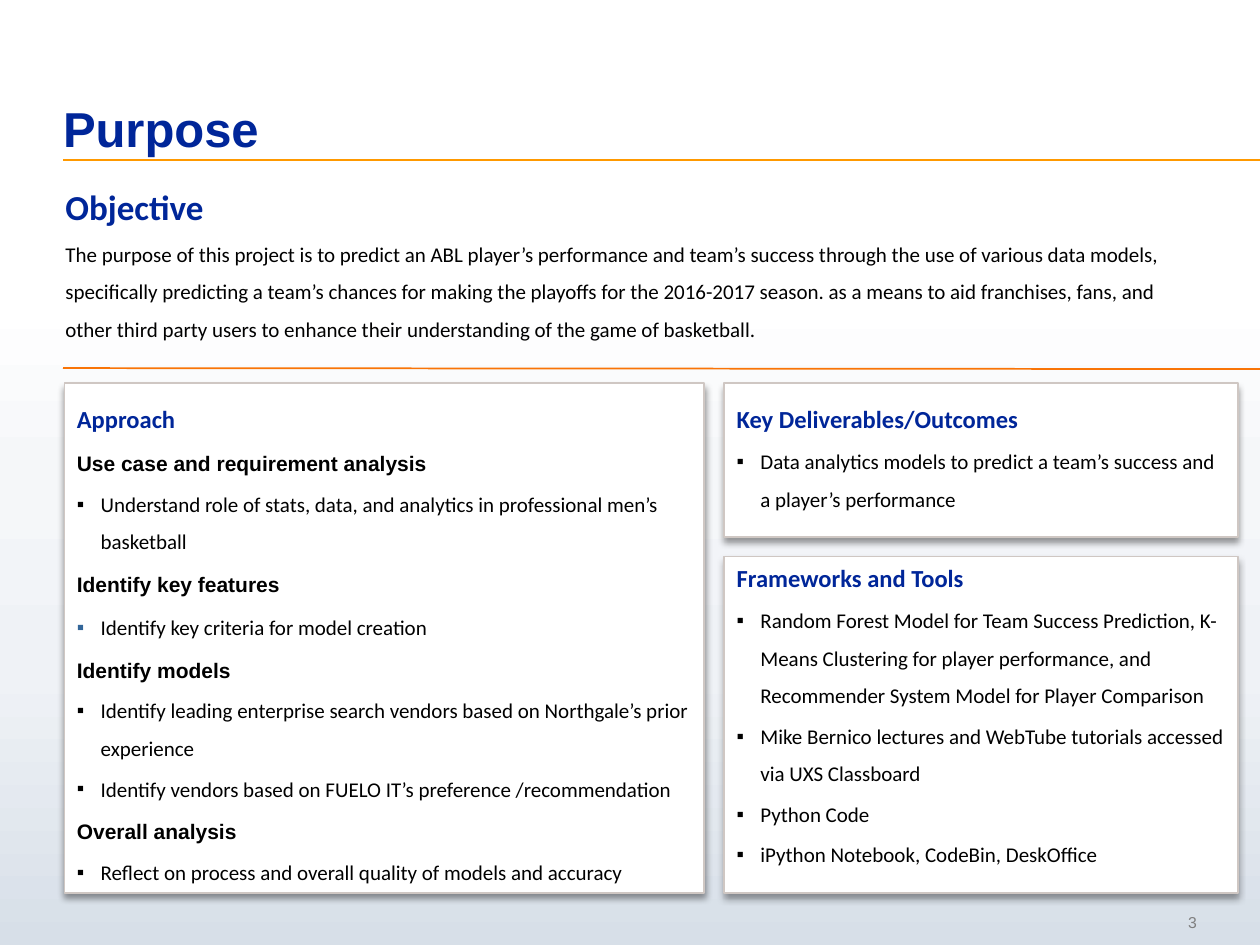
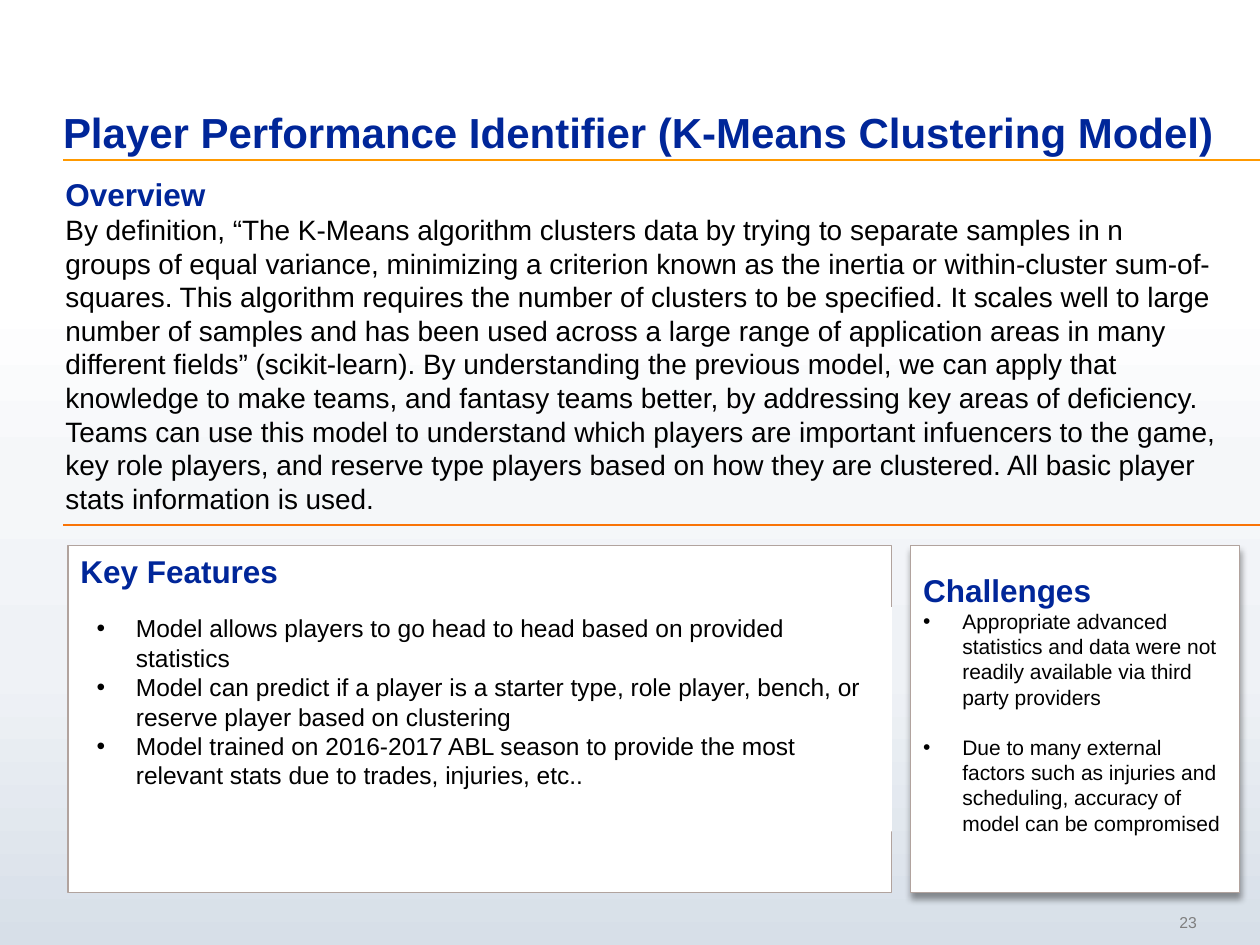
"""Build the two project slides."""

from dataclasses import dataclass, replace
from typing import NamedTuple

from lxml.etree import SubElement as add_node
from pptx import Presentation
from pptx.dml.color import RGBColor
from pptx.enum.shapes import MSO_CONNECTOR as Link, MSO_SHAPE as Shape
from pptx.enum.text import MSO_ANCHOR as Anchor, PP_ALIGN as Align
from pptx.oxml.ns import qn
from pptx.util import Cm, Pt

NAVY, BLACK, GREY, WHITE = "002699", "000000", "7F7F7F", "FFFFFF"
GOLD, ORANGE, STEEL = "FF9900", "F97407", "336699"
PALE, TAUPE = "CFC7C3", "B1A39E"
BACK = [(31, WHITE), (50, "F5F7F9"), (71, "EFF2F6"), (100, "D7DFE8")]
EDGE, RIGHT = 1.27, 25.4


@dataclass(frozen=True)
class Look:
    font: str
    size: float
    hue: str = BLACK
    bold: bool = False
    lines: float | None = None
    fixed: bool = False
    above: float = 0
    mark: str = ""
    tint: str = BLACK
    hang: float = 0


class Para(NamedTuple):
    text: str
    look: Look


class Area(NamedTuple):
    left: float
    top: float
    width: float
    height: float


@dataclass(frozen=True)
class Card:
    area: Area
    paras: list[Para]
    line: str = ""
    weight: float = 1
    shade: bool = True


TITLE = Look("Arial", 28, NAVY, True, 26, True)
NUMBER = Look("Arial", 9, GREY)

HEAD = Look("Calibri", 14, NAVY, True, 1.5, above=0.1)
STEP = Look("Arial", 12, BLACK, True, 1.5, above=0.2)
ITEM = Look("Calibri", 12, lines=1.5, above=0.1, mark="▪", hang=0.48)
GOAL = Look("Calibri", 20, NAVY, True, above=0.05)
BODY = Look("Calibri", 12, lines=1.5, above=0.05)

TOPIC = Look("Arial", 18, NAVY, True, 21.6, True)
PROSE = Look("Arial", 16, lines=19.2, fixed=True)
POINT = Look("Arial", 14, lines=16.8, fixed=True, mark="•", hang=0.79)
ISSUE = replace(POINT, size=12, lines=14.4)

GOALS = [
    Para("Objective", GOAL),
    Para("The purpose of this project is to predict an ABL player’s performance and "
         "team’s success through the use of various data models, specifically "
         "predicting a team’s chances for making the playoffs for the 2016-2017 "
         "season. as a means to aid franchises, fans, and other third party users to "
         "enhance their understanding of the game of basketball.", BODY),
]

PLANS = [
    Card(Area(1.3, 7.72, 12.9, 10.28), [
        Para("Approach", HEAD),
        Para("Use case and requirement analysis", STEP),
        Para("Understand role of stats, data, and analytics in professional men’s "
             "basketball", ITEM),
        Para("Identify key features", STEP),
        Para("Identify key criteria for model creation",
             replace(ITEM, above=0.2, tint=STEEL)),
        Para("Identify models", STEP),
        Para("Identify leading enterprise search vendors based on Northgale’s prior "
             "experience", ITEM),
        Para("Identify vendors based on FUELO IT’s preference /recommendation", ITEM),
        Para("Overall analysis", STEP),
        Para("Reflect on process and overall quality of models and accuracy", ITEM),
    ], PALE),
    Card(Area(14.6, 11.22, 10.36, 6.78), [
        Para("Frameworks and Tools", replace(HEAD, lines=None)),
        Para("Random Forest Model for Team Success Prediction, K-Means Clustering for "
             "player performance, and Recommender System Model for Player Comparison",
             ITEM),
        Para("Mike Bernico lectures and WebTube tutorials accessed via UXS Classboard",
             ITEM),
        Para("Python Code", ITEM),
        Para("iPython Notebook, CodeBin, DeskOffice", ITEM),
    ], PALE),
    Card(Area(14.6, 7.72, 10.36, 3.1), [
        Para("Key Deliverables/Outcomes", HEAD),
        Para("Data analytics models to predict a team’s success and a player’s "
             "performance", ITEM),
    ], PALE),
]

VIEWS = [
    Para("Overview", TOPIC),
    Para("By definition, “The K-Means algorithm clusters data by trying to separate "
         "samples in n groups of equal variance, minimizing a criterion known as the "
         "inertia or within-cluster sum-of-squares. This algorithm requires the number "
         "of clusters to be specified. It scales well to large number of samples and "
         "has been used across a large range of application areas in many different "
         "fields” (scikit-learn). By understanding the previous model, we can apply "
         "that knowledge to make teams, and fantasy teams better, by addressing key "
         "areas of deficiency. Teams can use this model to understand which players "
         "are important infuencers to the game, key role players, and reserve type "
         "players based on how they are clustered. All basic player stats information "
         "is used.", PROSE),
]

TRAITS = [
    Card(Area(1.37, 11, 16.61, 7), [Para("Key Features", TOPIC)], TAUPE, 0.75, False),
    Card(Area(18.36, 11, 6.63, 7), [
        Para("Challenges", replace(TOPIC, lines=1.5, fixed=False)),
        Para("Appropriate advanced statistics and data were not readily available via "
             "third party providers", ISSUE),
        Para("Due to many external factors such as injuries and scheduling, accuracy "
             "of model can be compromised", replace(ISSUE, above=1)),
    ], TAUPE, 0.75),
    Card(Area(1.7, 12.24, 16.28, 4.52), [
        Para("Model allows players to go head to head based on provided statistics",
             POINT),
        Para("Model can predict if a player is a starter type, role player, bench, or "
             "reserve player based on clustering", POINT),
        Para("Model trained on 2016-2017 ABL season to provide the most relevant stats "
             "due to trades, injuries, etc..", POINT),
    ], shade=False),
]


def rgb(hue: str) -> RGBColor:
    return RGBColor.from_string(hue)


def span(area: Area) -> list[Cm]:
    return [Cm(part) for part in area]


def add_hue(node, hue: str):
    return add_node(node, qn("a:srgbClr"), val=hue)


def add_mark(para, look: Look) -> None:
    props = para._p.get_or_add_pPr()
    props.set("marL", str(Cm(look.hang)))
    props.set("indent", str(-Cm(look.hang)))
    add_hue(add_node(props, qn("a:buClr")), look.tint)
    add_node(props, qn("a:buFont"), typeface="Arial")
    add_node(props, qn("a:buChar"), char=look.mark)


def write(frame, paras: list[Para], align=Align.LEFT) -> None:
    frame.word_wrap = True
    frame.text = "\n".join(item.text for item in paras)
    for para, (_, look) in zip(frame.paragraphs, paras):
        para.alignment = align
        if look.lines:
            para.line_spacing = Pt(look.lines) if look.fixed else look.lines
        para.space_before = Pt(look.above * look.size * 1.2)
        if look.mark:
            add_mark(para, look)
        for run in para.runs:
            font = run.font
            font.name, font.size, font.bold = look.font, Pt(look.size), look.bold
            font.color.rgb = rgb(look.hue)


def trim(frame, anchor) -> None:
    frame.margin_left = frame.margin_right = 0
    frame.margin_top = frame.margin_bottom = 0
    frame.vertical_anchor = anchor


def add_text(slide, area: Area, paras: list[Para], align=Align.LEFT):
    frame = slide.shapes.add_textbox(*span(area)).text_frame
    write(frame, paras, align)
    return frame


def add_shade(box) -> None:
    effects = box._element.spPr.find(qn("a:effectLst"))
    shade = add_node(effects, qn("a:outerShdw"), blurRad=str(Pt(4)), dist=str(Pt(3)),
                     dir="5400000", algn="t", rotWithShape="0")
    add_node(add_hue(shade, BLACK), qn("a:alpha"), val="40000")


def add_card(slide, card: Card) -> None:
    box = slide.shapes.add_shape(Shape.RECTANGLE, *span(card.area))
    box.shadow.inherit = False
    box.fill.solid()
    box.fill.fore_color.rgb = rgb(WHITE)
    if card.line:
        box.line.color.rgb = rgb(card.line)
        box.line.width = Pt(card.weight)
    else:
        box.line.fill.background()
    if card.shade:
        add_shade(box)
    box.text_frame.vertical_anchor = Anchor.TOP
    write(box.text_frame, card.paras)


def add_rule(slide, start: float, end: float, hue: str) -> None:
    rule = slide.shapes.add_connector(Link.STRAIGHT, Cm(EDGE), Cm(start),
                                      Cm(RIGHT), Cm(end))
    rule.line.color.rgb = rgb(hue)
    rule.line.width = Pt(1)
    add_node(rule._element.spPr, qn("a:effectLst"))


def paint_back(master) -> None:
    fill = master.background.fill
    fill.gradient()
    fill.gradient_angle = 270
    stops = master._element.find(".//" + qn("a:gsLst"))
    for stop in list(stops):
        stops.remove(stop)
    for place, hue in BACK:
        add_hue(add_node(stops, qn("a:gs"), pos=str(place * 1000)), hue)


def add_slide(deck, title: str, look: Look, width: float, number: str):
    slide = deck.slides.add_slide(deck.slide_layouts[5])
    add_rule(slide, 3.23, 3.23, GOLD)
    head = slide.shapes.title
    head.left, head.top, head.width, head.height = span(Area(EDGE, 0.43, width, 2.74))
    trim(head.text_frame, Anchor.BOTTOM)
    write(head.text_frame, [Para(title, look)])
    foot = add_text(slide, Area(22.63, 18.24, 1.5, 0.69), [Para(number, NUMBER)],
                    Align.RIGHT)
    trim(foot, Anchor.MIDDLE)
    return slide


def main() -> None:
    deck = Presentation()
    deck.slide_width, deck.slide_height = Cm(RIGHT), Cm(19.05)
    paint_back(deck.slide_master)

    aim = add_slide(deck, "Purpose", TITLE, 20.96, "3")
    for card in PLANS:
        add_card(aim, card)
    add_text(aim, Area(1.07, 3.61, 22.66, 3.45), GOALS)
    add_rule(aim, 7.42, 7.44, ORANGE)

    model = add_slide(deck, "Player Performance Identifier (K-Means Clustering Model)",
                      replace(TITLE, size=24), 23.5, "23")
    add_text(model, Area(1.07, 3.4, 23.7, 7.19), VIEWS)
    for card in TRAITS:
        add_card(model, card)
    add_rule(model, 10.59, 10.59, ORANGE)

    deck.save("out.pptx")


if __name__ == "__main__":
    main()
